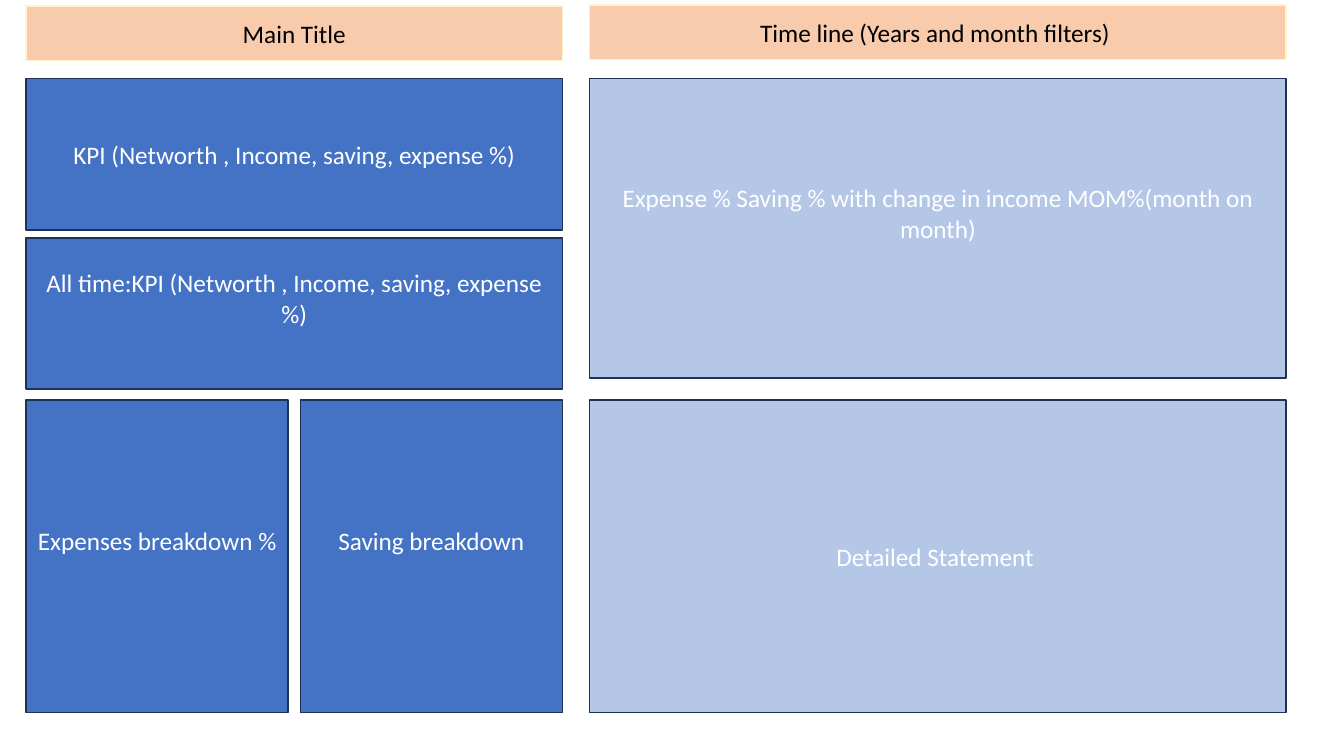
from dataclasses import dataclass

from pptx import Presentation
from pptx.dml.color import RGBColor
from pptx.enum import shapes, text
from pptx.util import Pt

LEFT_X, LEFT_W = 18.7, 383
RIGHT_X, RIGHT_W = 421.2, 497.5
HALF_W = 187.2
HEADER_H, KPI_H, LOWER_H = 38.9, 108, 223.2
UPPER_Y, LOWER_Y = 56.2, 285.8
INSET, LINE_H = 3.6, 22


@dataclass(frozen=True)
class Style:
    fill: str
    line: str
    font: str


HEADER = Style("F8CBAD", "FFF2CC", "000000")
METRIC = Style("4472C4", "1E3256", "FFFFFF")
DETAIL = Style("B4C7E7", "1E3256", "FFFFFF")


@dataclass(frozen=True)
class Panel:
    label: str
    x: float
    y: float
    w: float
    h: float
    style: Style
    raised: bool = False  # label sits half a line above the middle


TITLE = Panel("Main Title", LEFT_X, 4.3, LEFT_W, HEADER_H, HEADER)
PANELS = [
    Panel("Time line (Years and month filters) ",
          RIGHT_X, 3.6, RIGHT_W, HEADER_H, HEADER),
    Panel("KPI (Networth , Income, saving, expense %)",
          LEFT_X, UPPER_Y, LEFT_W, KPI_H, METRIC),
    Panel("All time:KPI (Networth , Income, saving, expense %)",
          LEFT_X, 169.9, LEFT_W, KPI_H, METRIC, True),
    Panel("Expenses breakdown %",
          LEFT_X, LOWER_Y, HALF_W, LOWER_H, METRIC, True),
    Panel("Saving breakdown",
          LEFT_X + LEFT_W - HALF_W, LOWER_Y, HALF_W, LOWER_H, METRIC, True),
    Panel("Expense % Saving % with change in income MOM%(month on month)",
          RIGHT_X, UPPER_Y, RIGHT_W, 213.8, DETAIL, True),
    Panel("Detailed Statement ",
          RIGHT_X, LOWER_Y, RIGHT_W, LOWER_H, DETAIL),
]


def set_color(fmt, value: str) -> None:
    """Give a fill format a solid colour from a hex string."""
    fmt.solid()
    fmt.fore_color.rgb = RGBColor.from_string(value)


def format_panel(sp, panel: Panel) -> None:
    """Place, colour and label a shape or placeholder."""
    sp.left, sp.top = Pt(panel.x), Pt(panel.y)
    sp.width, sp.height = Pt(panel.w), Pt(panel.h)
    set_color(sp.fill, panel.style.fill)
    set_color(sp.line.fill, panel.style.line)
    sp.line.width = Pt(1)

    tf = sp.text_frame
    tf.word_wrap = True
    tf.auto_size = text.MSO_AUTO_SIZE.NONE
    tf.vertical_anchor = text.MSO_ANCHOR.MIDDLE
    tf.margin_bottom = Pt(INSET + LINE_H * panel.raised)
    p = tf.paragraphs[0]
    p.alignment = text.PP_ALIGN.CENTER
    r = p.add_run()
    r.text = panel.label
    r.font.name = "Calibri"
    r.font.size = Pt(18)
    set_color(r.font.fill, panel.style.font)


def main() -> None:
    prs = Presentation()
    prs.slide_width, prs.slide_height = Pt(960), Pt(540)
    s = prs.slides.add_slide(prs.slide_layouts.get_by_name("Title Only"))
    format_panel(s.shapes.title, TITLE)
    for panel in PANELS:
        sp = s.shapes.add_shape(shapes.MSO_SHAPE.RECTANGLE, 0, 0, 0, 0)
        sp.shadow.inherit = False
        format_panel(sp, panel)
    prs.save("out.pptx")


if __name__ == "__main__":
    main()
